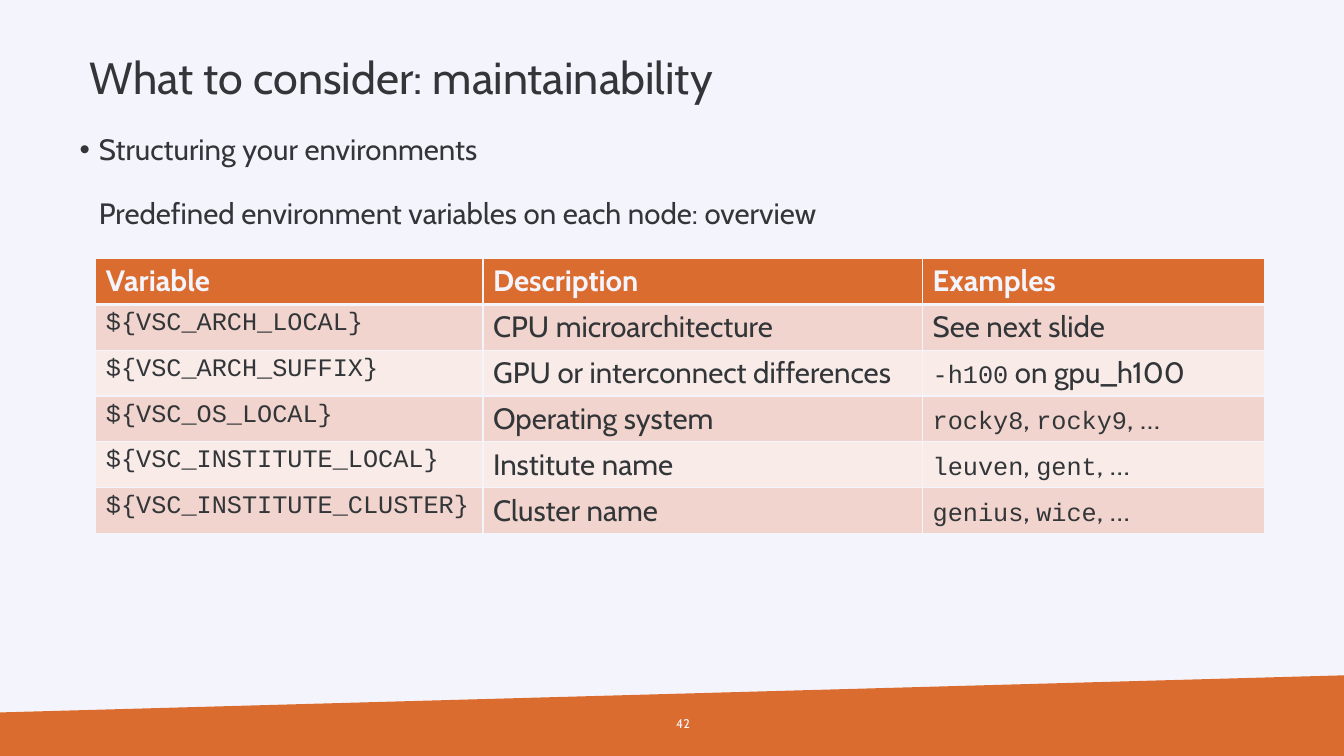
import pptx
import pptx.util
import pptx.dml.color
import pptx.enum.text
import pptx.oxml.ns
import lxml.etree

COLORS = {
    "background": "F4F5FC",
    "orange": "DB6C30",
    "ink": "333639",
    "odd_row": "F1D4CD",
    "even_row": "F8EBE8",
}
TEXT_FONT, CODE_FONT = "Cabin", "Courier New"
COLUMN_SHARES = (3.84, 4.36, 3.39)
ROWS = (
    ("Variable", "Description", "Examples"),
    ("`${VSC_ARCH_LOCAL}`", "CPU microarchitecture", "See next slide"),
    ("`${VSC_ARCH_SUFFIX}`", "GPU or interconnect differences", "`-h100` on gpu_h100"),
    ("`${VSC_OS_LOCAL}`", "Operating system", "`rocky8`, `rocky9`, …"),
    ("`${VSC_INSTITUTE_LOCAL}`", "Institute name", "`leuven`, `gent`, …"),
    ("`${VSC_INSTITUTE_CLUSTER}`", "Cluster name", "`genius`, `wice`, …"),
)

prs = pptx.Presentation()
prs.slide_width = pptx.util.Inches(13.33)
prs.slide_height = pptx.util.Inches(7.5)


def rgb(name):
    return pptx.dml.color.RGBColor.from_string(COLORS[name])


def paint(fill, name):
    fill.solid()
    fill.fore_color.rgb = rgb(name)


def grid(col, row, cols, rows):
    dx, dy = prs.slide_width / 100, prs.slide_height / 100
    return int(col * dx), int(row * dy), int(cols * dx), int(rows * dy)


def place(sp, box):
    sp.left, sp.top, sp.width, sp.height = box


def add_xml(parent, tag, **attrs):
    return lxml.etree.SubElement(parent, pptx.oxml.ns.qn(tag), attrs)


def write(p, text, size=21, color="ink", font=TEXT_FONT, bold=False,
          align=pptx.enum.text.PP_ALIGN.LEFT, spacing=None, before=0):
    p.alignment = align
    p.line_spacing = spacing
    p.space_before = pptx.util.Pt(before)
    for i, part in enumerate(text.split("`")):
        if not part:
            continue
        code = i % 2 == 1
        r = p.add_run()
        r.text = part
        r.font.name = CODE_FONT if code else font
        r.font.size = pptx.util.Pt(18 if code else size)
        r.font.bold = bold
        r.font.color.rgb = rgb(color)


def add_footer(s, box, number_box):
    x, y, w, h = box
    builder = s.shapes.build_freeform(x, y + int(0.46 * h))
    builder.add_line_segments([(x + w, y), (x + w, y + h), (x, y + h)])
    sp = builder.convert_to_shape()
    sp.shadow.inherit = False
    paint(sp.fill, "orange")
    sp.line.fill.background()
    tf = s.shapes.add_textbox(*number_box).text_frame
    tf.word_wrap = True
    tf.vertical_anchor = pptx.enum.text.MSO_ANCHOR.MIDDLE
    write(tf.paragraphs[0], "42", size=9, color="background",
          align=pptx.enum.text.PP_ALIGN.RIGHT)


def add_title(s, box):
    sp = s.shapes.title
    place(sp, box)
    tf = sp.text_frame
    tf.auto_size = pptx.enum.text.MSO_AUTO_SIZE.NONE
    tf.vertical_anchor = pptx.enum.text.MSO_ANCHOR.MIDDLE
    write(tf.paragraphs[0], "What to consider: maintainability", size=32, spacing=0.9)


def add_body(s, box):
    sp = s.placeholders[1]
    place(sp, box)
    tf = sp.text_frame
    tf.auto_size = pptx.enum.text.MSO_AUTO_SIZE.NONE
    tf.margin_left = tf.margin_top = tf.margin_right = tf.margin_bottom = 0
    indent = pptx.util.Inches(0.19)
    items = (
        ("Structuring your environments", "•", 0),
        ("Predefined environment variables on each node: overview", None, 23),
    )
    for i, (text, bullet, before) in enumerate(items):
        p = tf.add_paragraph() if i else tf.paragraphs[0]
        write(p, text, spacing=0.9, before=before)
        pPr = p._p.get_or_add_pPr()
        pPr.set("marL", str(indent))
        pPr.set("indent", str(-indent if bullet else 0))
        if bullet:
            add_xml(pPr, "a:buChar", char=bullet)
        else:
            add_xml(pPr, "a:buNone")


def add_borders(cell, header):
    tcPr = cell._tc.get_or_add_tcPr()
    for side in "LRTB":
        width = 3 if header and side == "B" else 1
        ln = add_xml(tcPr, "a:ln" + side, w=str(pptx.util.Pt(width)))
        add_xml(add_xml(ln, "a:solidFill"), "a:srgbClr", val=COLORS["background"])


def add_variables_table(s, box):
    x, y, w, h = box
    table = s.shapes.add_table(len(ROWS), len(COLUMN_SHARES), x, y, w, h).table
    table.horz_banding = False
    for column, share in zip(table.columns, COLUMN_SHARES):
        column.width = int(w * share / sum(COLUMN_SHARES))
    for i, row in enumerate(ROWS):
        header = i == 0
        fill = "orange" if header else "odd_row" if i % 2 else "even_row"
        for j, text in enumerate(row):
            cell = table.cell(i, j)
            add_borders(cell, header)
            paint(cell.fill, fill)
            write(cell.text_frame.paragraphs[0], text, bold=header,
                  color="background" if header else "ink")


def main():
    s = prs.slides.add_slide(prs.slide_layouts[1])
    paint(s.background.fill, "background")
    add_footer(s, grid(0, 89.33, 100, 10.67), grid(47.94, 93.07, 4.13, 5.33))
    add_body(s, grid(5.93, 17.87, 88.15, 14.8))
    add_title(s, grid(5.93, 4.8, 91.15, 11.6))
    add_variables_table(s, grid(7.13, 34.2, 86.95, 36.4))
    prs.save("out.pptx")


if __name__ == "__main__":
    main()
